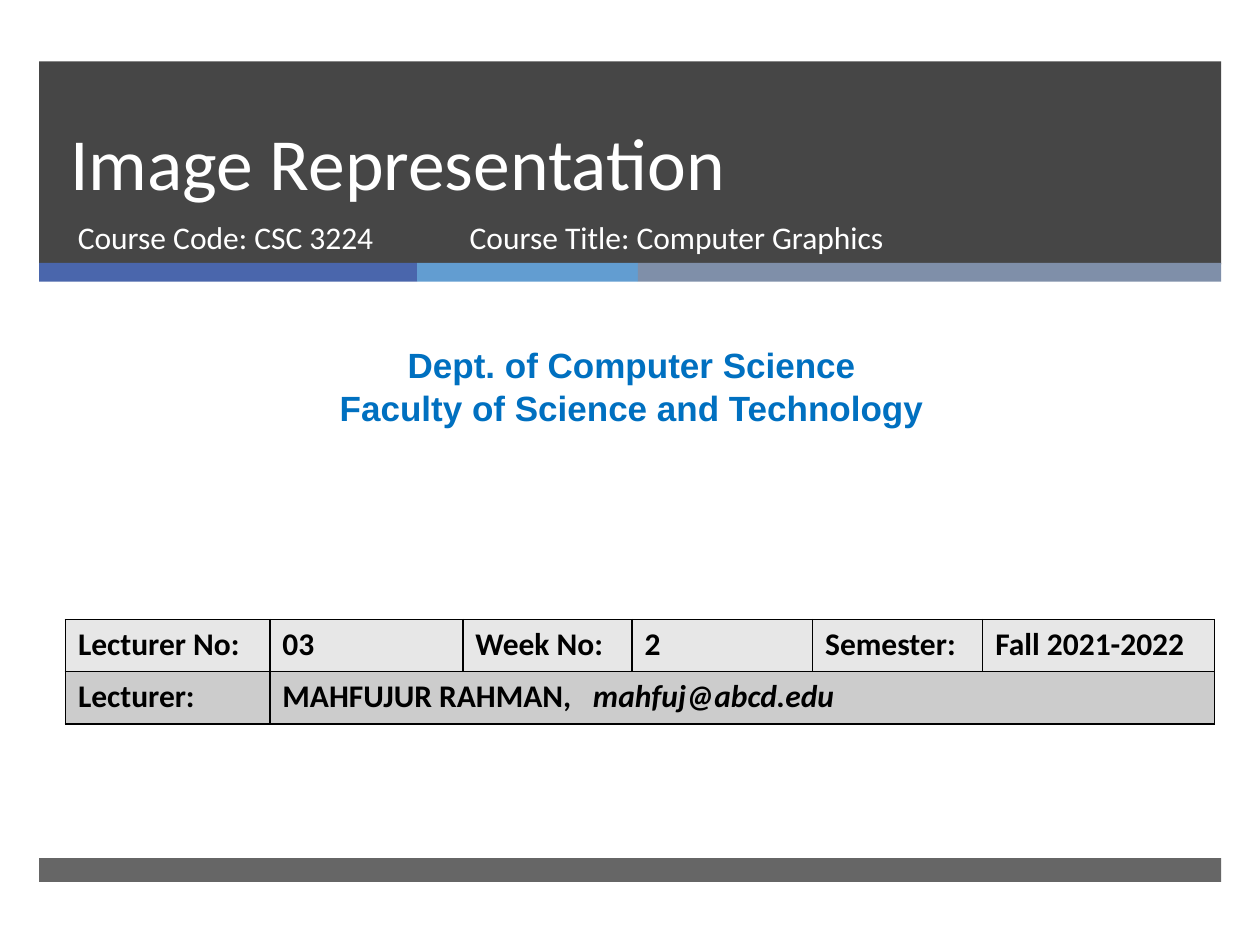
from dataclasses import dataclass

from lxml import etree
from pptx import Presentation
from pptx.dml.color import RGBColor
from pptx.enum.shapes import MSO_SHAPE
from pptx.enum.text import MSO_ANCHOR, PP_ALIGN
from pptx.oxml.ns import qn
from pptx.util import Cm, Pt

RECT = MSO_SHAPE.RECTANGLE
TOP, BOTTOM = MSO_ANCHOR.TOP, MSO_ANCHOR.BOTTOM
LEFT, CENTER = PP_ALIGN.LEFT, PP_ALIGN.CENTER

COLORS = {
    "dark": "262626",
    "navy": "4A66AC",
    "sky": "629DD1",
    "slate": "7F8FA9",
    "white": "FFFFFF",
    "blue": "0070C0",
    "black": "000000",
    "light": "E7E7E7",
    "gray": "CCCCCC",
}
EDGE, SPAN = 0.79, 23.83


@dataclass
class Bar:
    left: float
    top: float
    width: float
    height: float
    color: str
    alpha: int = 100


@dataclass
class Label:
    left: float
    top: float
    width: float
    height: float
    lines: list[str]
    size: int = 18
    color: str = "white"
    face: str = "Calibri"
    bold: bool = False
    align: PP_ALIGN = LEFT
    anchor: MSO_ANCHOR = TOP
    pitch: int | None = None


def tint(name: str) -> RGBColor:
    return RGBColor.from_string(COLORS[name])


def style(para, size: int, color: str, face: str, bold: bool) -> None:
    font = para.font
    font.size, font.name, font.bold = Pt(size), face, bold
    font.color.rgb = tint(color)


def draw_bar(slide, bar: Bar) -> None:
    shape = slide.shapes.add_shape(
        RECT, Cm(bar.left), Cm(bar.top), Cm(bar.width), Cm(bar.height))
    shape.shadow.inherit = False
    shape.line.fill.background()
    shape.fill.solid()
    shape.fill.fore_color.rgb = tint(bar.color)
    if bar.alpha < 100:
        color = shape.fill._xPr.find(qn("a:solidFill"))[0]
        etree.SubElement(color, qn("a:alpha"), val=str(bar.alpha * 1000))


def draw_label(slide, label: Label) -> None:
    box = slide.shapes.add_textbox(
        Cm(label.left), Cm(label.top), Cm(label.width), Cm(label.height))
    frame = box.text_frame
    frame.word_wrap = True
    frame.vertical_anchor = label.anchor
    frame.text = "\n".join(label.lines)
    for para in frame.paragraphs:
        para.alignment = label.align
        if label.pitch:
            para.line_spacing = Pt(label.pitch)
        style(para, label.size, label.color, label.face, label.bold)


def add_edges(cell) -> None:
    props = cell._tc.get_or_add_tcPr()
    for place, side in enumerate(("lnL", "lnR", "lnT", "lnB")):
        line = etree.Element(qn(f"a:{side}"), w=str(Pt(1)))
        fill = etree.SubElement(line, qn("a:solidFill"))
        etree.SubElement(fill, qn("a:srgbClr"), val=COLORS["black"])
        props.insert(place, line)


def add_tab(para, stop: float) -> None:
    tabs = etree.Element(qn("a:tabLst"))
    etree.SubElement(tabs, qn("a:tab"), pos=str(Cm(stop)), algn="l")
    para._p.get_or_add_pPr().insert(0, tabs)


def draw_table(slide, rows: list[list[str]], widths: list[float]) -> None:
    high = 1.05
    table = slide.shapes.add_table(
        len(rows), len(widths), Cm(1.32), Cm(12.49),
        Cm(sum(widths)), Cm(high * len(rows))).table
    for col, width in zip(table.columns, widths):
        col.width = Cm(width)
    for y, (row, color) in enumerate(zip(rows, ("light", "gray"))):
        table.rows[y].height = Cm(high)
        for x in range(len(widths)):
            cell = table.cell(y, x)
            cell.fill.solid()
            cell.fill.fore_color.rgb = tint(color)
            add_edges(cell)
            if x < len(row):
                cell.text = row[x]
                style(cell.text_frame.paragraphs[0], 18, "black", "Calibri", True)
    name = table.cell(1, 1)
    name.merge(table.cell(1, len(widths) - 1))
    para = name.text_frame.paragraphs[0]
    add_tab(para, 6.26)
    mail = para.add_run()
    mail.text = "\tmahfuj@abcd.edu"
    mail.font.italic = True


def main() -> None:
    deck = Presentation()
    deck.slide_width, deck.slide_height = Cm(25.4), Cm(19.05)
    slide = deck.slides.add_slide(deck.slide_layouts[6])

    draw_bar(slide, Bar(EDGE, 1.24, SPAN, 4.09, "dark", 85))
    left = EDGE
    for width, color in ((7.62, "navy"), (4.45, "sky"), (11.76, "slate")):
        draw_bar(slide, Bar(left, 5.3, width, 0.38, color))
        left += width
    draw_bar(slide, Bar(EDGE, 17.3, SPAN, 0.48, "dark", 70))

    labels = [
        Label(1.17, 1.24, 21.69, 3.02, ["Image Representation"],
              size=42, anchor=BOTTOM, pitch=46),
        Label(1.32, 4.27, 7.75, 1.35, ["Course Code: CSC 3224"]),
        Label(0.2, 6.81, 25.07, 1.96,
              ["Dept. of Computer Science", "Faculty of Science and Technology"],
              size=20, color="blue", face="Arial", bold=True, align=CENTER),
        Label(9.22, 4.27, 11.56, 1.35, ["Course Title: Computer Graphics"]),
    ]
    for label in labels:
        draw_label(slide, label)

    rows = [
        ["Lecturer No:", "03", "Week No:", "2", "Semester:", "Fall 2021-2022"],
        ["Lecturer:", "MAHFUJUR RAHMAN,"],
    ]
    draw_table(slide, rows, [4.12, 3.89, 3.41, 3.64, 3.43, 4.67])
    deck.save("out.pptx")


if __name__ == "__main__":
    main()
